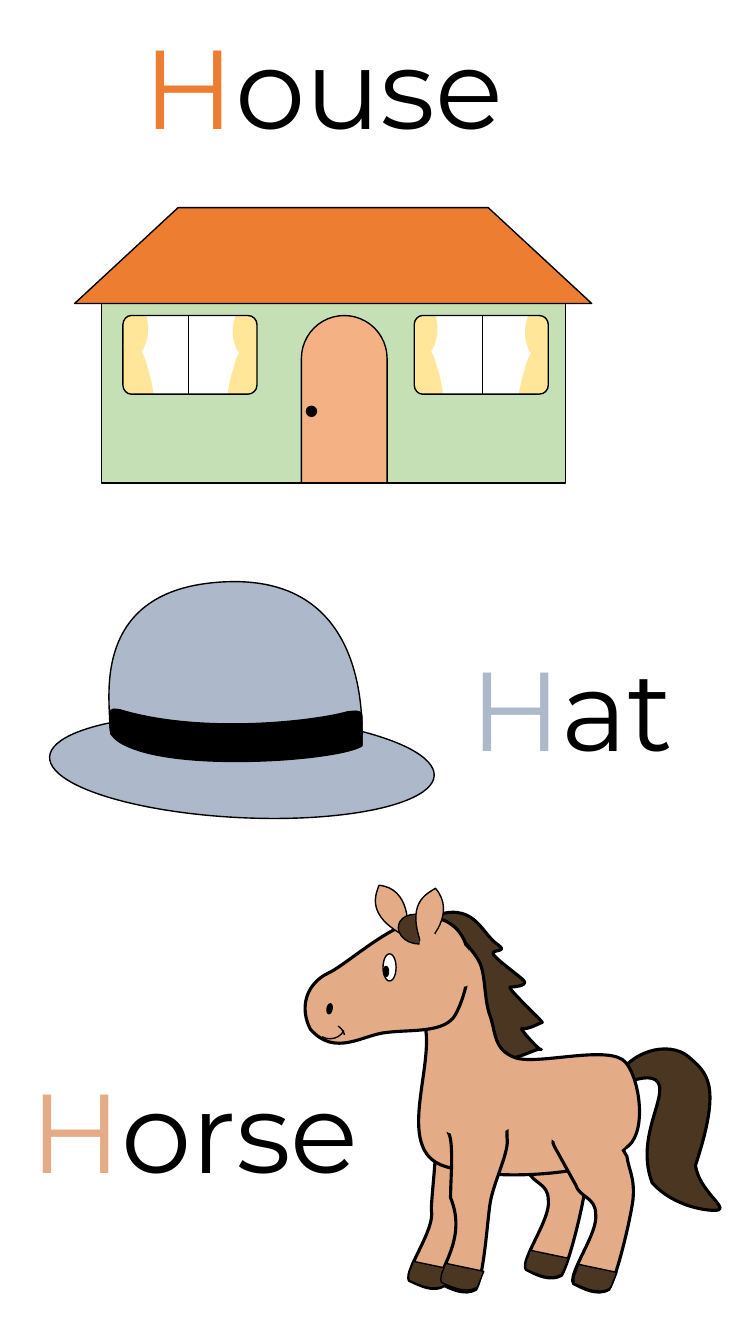
import lxml.etree
import pptx
import pptx.dml.color
import pptx.enum.shapes
import pptx.enum.text
import pptx.oxml.ns
import pptx.util

Inches = pptx.util.Inches
Pt = pptx.util.Pt
qn = pptx.oxml.ns.qn
color = pptx.dml.color.RGBColor.from_string
PRESET = pptx.enum.shapes.MSO_SHAPE

BLACK, WHITE = "000000", "FFFFFF"
GREY_BLUE, ORANGE, COAT, MANE = "ADB9CA", "ED7D31", "E3AC87", "4B3621"
GREEN, DOOR, CURTAIN = "C5E0B4", "F4B183", "FFE699"


def paint(shape, fill, weight=1, line=BLACK):
    """Fill and outline a shape; no fill or a zero weight leaves that part out."""
    shape.shadow.inherit = False
    if fill:
        shape.fill.solid()
        shape.fill.fore_color.rgb = color(fill)
    else:
        shape.fill.background()
    if weight:
        shape.line.color.rgb = color(line)
        shape.line.width = Pt(weight)
    else:
        shape.line.fill.background()


def outline(group, drawing, fill, weight=1, shift=(0, 0), mirror=None):
    """Draw contours of M (start), L (line) and C (cubic curve) points in inches."""
    contours, modes, mode = [], [], "M"
    for token in drawing.split():
        if token.isalpha():
            mode = token
            continue
        x, y = map(float, token.split(","))
        x = x if mirror is None else mirror - x
        point = (Inches(x + shift[0]), Inches(y + shift[1]))
        if mode == "M":
            contours.append([point])
        else:
            contours[-1].append(point)
            modes.append(mode)
    builder = group.shapes.build_freeform(*contours[0][0])
    for contour in contours:
        if contour is not contours[0]:
            builder.move_to(*contour[0])
        builder.add_line_segments(contour[1:], close=True)
    shape = builder.convert_to_shape()
    # Each three curve points become one Bezier segment
    segments = shape._element.xpath(".//a:lnTo")
    bends = [segment for segment, mode in zip(segments, modes) if mode == "C"]
    for start in range(0, len(bends), 3):
        curve = lxml.etree.Element(qn("a:cubicBezTo"))
        bends[start].addprevious(curve)
        for bend in bends[start:start + 3]:
            curve.append(bend[0])
            bend.getparent().remove(bend)
    paint(shape, fill, weight)


deck = pptx.Presentation()
deck.slide_width, deck.slide_height = Inches(7.5), Inches(13.33)
page = deck.slides.add_slide(deck.slide_layouts[6])

# Words with a coloured initial
for word, initial_color, left, top, width in (
        ("Hat", GREY_BLUE, 4.57, 6.29, 2.4),
        ("House", ORANGE, 1.33, 0.12, 4.03),
        ("Horse", COAT, 0.2, 10.48, 4.1)):
    box = page.shapes.add_textbox(Inches(left), Inches(top), Inches(width), Inches(1.45))
    box.text_frame.word_wrap = True
    box.text_frame.auto_size = pptx.enum.text.MSO_AUTO_SIZE.SHAPE_TO_FIT_TEXT
    para = box.text_frame.paragraphs[0]
    para.font.name, para.font.size = "Montserrat", Pt(80)
    for text, text_color in ((word[0], initial_color), (word[1:], BLACK)):
        span = para.add_run()
        span.text = text
        span.font.color.rgb = color(text_color)

# Hat: brim, crown, band
hat = page.shapes.add_group_shape()
brim = hat.shapes.add_shape(PRESET.OVAL, Inches(0.49), Inches(7.09), Inches(3.82), Inches(1.02))
brim.rotation = 2.8
paint(brim, GREY_BLUE)
outline(hat, """M 3.59,7.4 C 3.6,7.11 3.64,5.73 2.27,5.77 0.9,5.81 1.09,6.91 1.09,7.19
    1.09,7.48 1.63,7.46 2.04,7.49 2.46,7.53 3.34,7.53 3.59,7.4""", GREY_BLUE)
outline(hat, """M 3.59,7.1 C 3.59,7.03 3.49,7.06 3.45,7.06 3.09,7.16 1.98,7.28 1.19,7.04
    1.16,7.04 1.09,7.01 1.09,7.08 1.09,7.18 1.09,7.21 1.1,7.28
    1.4,7.7 3.44,7.55 3.59,7.39 3.59,7.3 3.59,7.19 3.59,7.1""", BLACK)

# House: curtains and window bars lie behind the wall openings
house = page.shapes.add_group_shape()
curtain_fall = """M 1.2,3.69 C 1.19,3.56 1.2,3.42 1.27,3.41 1.35,3.39 1.43,3.49 1.46,3.63
    1.5,3.76 1.63,4.18 1.36,4.19 1.1,4.2 1.22,3.82 1.2,3.69"""
for left, top, shift, mirror in (
        (4.07, 3.01, (2.87, -0.01), None), (5.21, 3.04, (2.89, 0.02), 3.78),
        (2.31, 3.03, (0, 0.01), 3.78), (1.2, 3.01, (0, 0), None)):
    curtain_top = house.shapes.add_shape(
        PRESET.OVAL, Inches(left), Inches(top), Inches(0.27), Inches(0.51))
    paint(curtain_top, CURTAIN, 0)
    outline(house, curtain_fall, CURTAIN, 0, shift, mirror)
for x in (1.87, 4.79):
    bar = house.shapes.add_connector(
        pptx.enum.shapes.MSO_CONNECTOR.STRAIGHT, Inches(x), Inches(3.13), Inches(x), Inches(3.94))
    bar.line.color.rgb = color(BLACK)
    bar.line.width = Pt(0.5)
    lxml.etree.SubElement(bar._element.spPr, qn("a:effectLst"))

wall = "M 1.01,2.83 L 5.61,2.83 5.61,4.79 1.01,4.79 "
for x in (1.22, 4.11):
    right = x + 1.33
    wall += f"""M {x + 0.08},3.13 C {x + 0.04},3.13 {x},3.17 {x},3.22 L {x},3.82
        C {x},3.87 {x + 0.04},3.91 {x + 0.08},3.91 L {right - 0.09},3.91
        C {right - 0.04},3.91 {right},3.87 {right},3.82 L {right},3.22
        C {right},3.17 {right - 0.04},3.13 {right - 0.09},3.13 """
outline(house, wall, GREEN)

door = house.shapes.add_shape(
    PRESET.ROUND_2_SAME_RECTANGLE, Inches(2.99), Inches(3.13), Inches(0.85), Inches(1.66))
door.adjustments[0], door.adjustments[1] = 0.5, 0
paint(door, DOOR)
knob = house.shapes.add_shape(PRESET.OVAL, Inches(3.04), Inches(4.03), Inches(0.1), Inches(0.1))
paint(knob, BLACK)
roof = house.shapes.add_shape(
    PRESET.FLOWCHART_MANUAL_OPERATION, Inches(0.74), Inches(2.06), Inches(5.13), Inches(0.95))
roof.rotation = 180
paint(roof, ORANGE)

# Horse: tail, far legs, mane, body, near legs
horse = page.shapes.add_group_shape()
hind_leg = """M 5.53,10.95 C 5.51,10.9 5.45,10.89 5.4,10.91 L 5.07,11.1
    C 5.02,11.13 5,11.19 5.03,11.23 L 5.24,11.61 C 5.28,11.74 5.44,11.73 5.44,11.9
    5.47,12.09 5.16,12.49 5.22,12.59 5.33,12.65 5.46,12.71 5.57,12.65
    5.65,12.52 5.78,11.98 5.81,11.76 5.83,11.54 5.77,11.47 5.75,11.33"""
outline(horse, """M 7.13,12 C 7.21,11.97 6.94,11.81 6.9,11.56 7.17,10.74 7.01,10.64 6.83,10.48
    6.64,10.32 6.23,10.41 6.08,10.76 6.14,10.79 6.48,10.59 6.54,10.76
    6.59,10.93 6.31,11.31 6.47,11.73 6.69,11.98 7.06,12.02 7.13,12""", MANE, 2.25)
outline(horse, hind_leg, COAT, 2.25)
outline(horse, """M 4.6,10.96 C 4.49,10.93 4.34,10.94 4.26,10.99 4.21,11.1 4.25,11.09 4.31,11.22
    4.35,11.35 4.28,11.84 4.28,12 4.32,12.2 4.01,12.59 4.06,12.7
    4.17,12.75 4.3,12.82 4.41,12.75 4.49,12.63 4.62,12.08 4.65,11.86
    4.68,11.64 4.7,11.48 4.67,11.33""", COAT, 2.25)
outline(horse, """M 4.27,9.1 L 3.97,9.33 4.42,10.01 4.66,10.48 C 4.78,10.47 4.69,10.51 4.95,10.46
    5.04,10.58 5.35,10.37 5.37,10.41 5.38,10.45 5.13,10.18 5.18,10.2
    5.23,10.22 5.37,10.14 5.38,10.14 5.39,10.14 5.02,9.79 5.06,9.79
    5.1,9.79 5.23,9.78 5.2,9.73 5.17,9.69 4.88,9.49 4.89,9.45
    4.9,9.42 5.04,9.44 4.94,9.37 4.77,9.26 4.71,8.92 4.27,9.1""", MANE, 2.25)
outline(horse, """M 4.86,10.07 C 4.8,9.91 4.82,9.65 4.75,9.53 4.69,9.42 4.42,9.09 4.33,9.19
    4.23,9.28 4.19,9.7 4.19,10.09 4.37,10.48 3.87,11.41 4.42,11.57
    4.97,11.74 6.08,11.63 6.2,11.39 6.42,11.27 6.36,10.73 6.21,10.54
    6.06,10.35 5.34,10.57 5.11,10.49 4.89,10.41 4.92,10.23 4.86,10.07""", COAT, 2.25)
outline(horse, hind_leg, COAT, 2.25, (0.47, 0.14))
outline(horse, """M 5.03,10.98 C 4.91,10.94 4.54,10.91 4.46,10.96 4.41,11.07 4.4,11.13 4.46,11.26
    4.5,11.39 4.47,11.71 4.47,11.88 4.65,12.31 4.31,12.63 4.37,12.73
    4.48,12.79 4.61,12.85 4.72,12.79 4.8,12.66 4.83,12.17 4.86,11.95
    4.89,11.73 5.06,11.42 5.03,11.28""", COAT, 2.25)

# Hooves
for shift in ((0, 0), (-0.48, -0.14), (-1.64, -0.03), (-1.32, -0.01)):
    outline(horse, """M 5.74,12.54 L 5.72,12.6 C 5.69,12.66 5.69,12.7 5.7,12.73
        5.81,12.78 5.94,12.84 6.05,12.78 6.07,12.75 6.09,12.69 6.12,12.62""", MANE, 1, shift)

# Head, ears and forelock
outline(horse, """M 4.43,9.14 C 4.07,8.96 3.48,9.55 3.26,9.65 3.03,9.76 2.97,10 3.08,10.21
    3.33,10.49 3.6,10.26 3.84,10.24 4.08,10.21 4.42,10.25 4.52,10.06
    4.62,9.88 4.79,9.33 4.43,9.14""", COAT, 2.25)
outline(horse, "M 4.03,9.29 C 3.62,9.08 3.73,8.87 3.76,8.78 4.07,8.81 4.06,9.2 4.03,9.29", COAT)
forelock = horse.shapes.add_shape(
    PRESET.OVAL, Inches(3.95), Inches(9.07), Inches(0.37), Inches(0.29))
forelock.rotation = 12.7
paint(forelock, MANE)
outline(horse, "M 4.19,9.39 C 4.02,8.95 4.23,8.87 4.32,8.81 4.53,9.05 4.27,9.34 4.19,9.39", COAT)

# Patches that blend the joints, then eye, nostril and pupil
for left, top, width, height, rotation, fill, line in (
        (5.38, 10.97, 0.86, 0.47, 14.6, COAT, COAT),
        (4.28, 10.84, 0.86, 0.43, 0, COAT, COAT),
        (4.07, 9.34, 0.41, 0.21, 261.9, COAT, COAT),
        (4.38, 9.47, 0.41, 0.21, 261.9, COAT, COAT),
        (3.73, 9.53, 0.27, 0.13, 270, WHITE, BLACK),
        (3.22, 9.98, 0.1, 0.05, 280.7, BLACK, BLACK),
        (3.78, 9.61, 0.1, 0.05, 270, BLACK, BLACK)):
    oval = horse.shapes.add_shape(
        PRESET.OVAL, Inches(left), Inches(top), Inches(width), Inches(height))
    oval.rotation = rotation
    paint(oval, fill, 1, line)

# Mouth: arc adjustments count 0.6 per degree
for top, rotation, end_angle in ((9.99, 207.4, 270), (10.16, 123, 218.4)):
    mouth = horse.shapes.add_shape(
        PRESET.ARC, Inches(3.1), Inches(top), Inches(0.33), Inches(0.31))
    mouth.adjustments[0], mouth.adjustments[1] = 180 * 0.6, end_angle * 0.6
    mouth.rotation = rotation
    paint(mouth, None)

deck.save("out.pptx")
